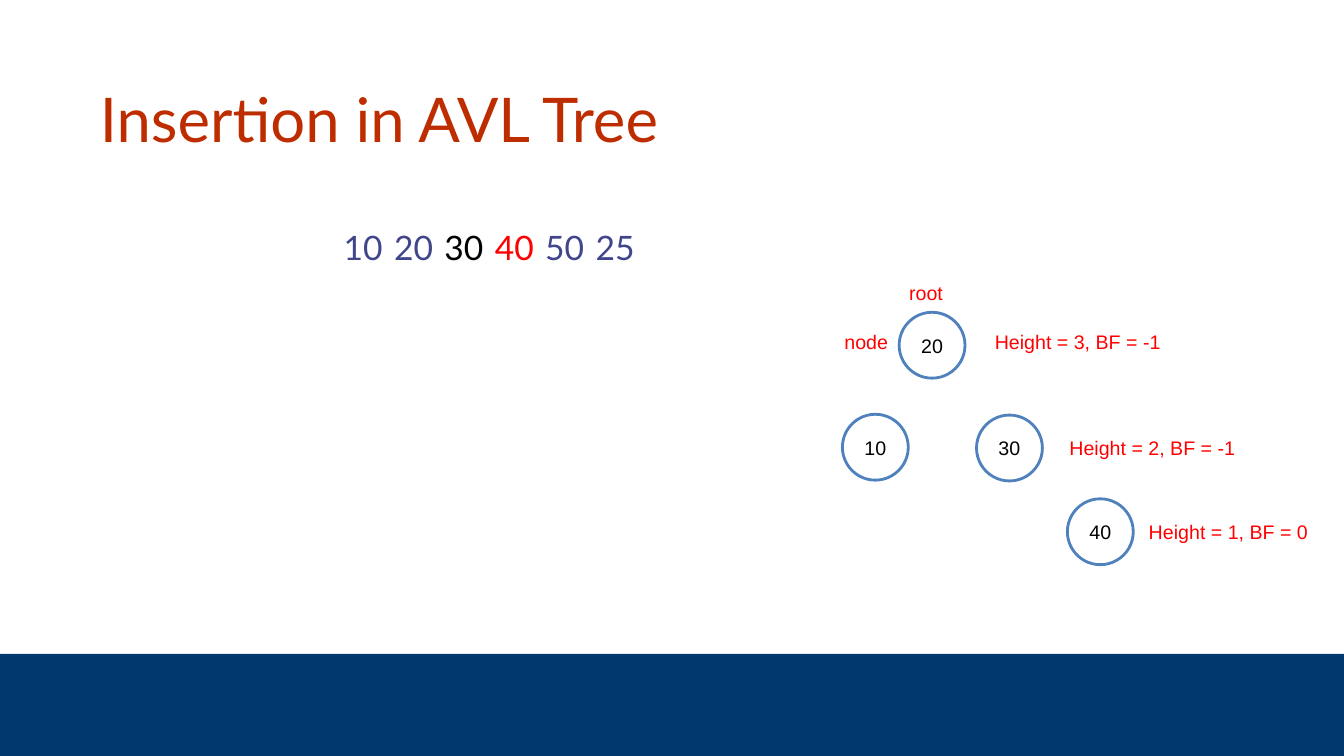
from lxml import etree
from pptx import Presentation
from pptx.dml.color import RGBColor
from pptx.enum.shapes import MSO_SHAPE
from pptx.enum.text import MSO_ANCHOR, MSO_AUTO_SIZE, PP_ALIGN
from pptx.oxml.ns import qn
from pptx.util import Cm, Pt

OVAL, RECTANGLE = MSO_SHAPE.OVAL, MSO_SHAPE.RECTANGLE
BOTTOM, MIDDLE, TOP = MSO_ANCHOR.BOTTOM, MSO_ANCHOR.MIDDLE, MSO_ANCHOR.TOP
LEFT, CENTER = PP_ALIGN.LEFT, PP_ALIGN.CENTER
NO_AUTOSIZE = MSO_AUTO_SIZE.NONE

COLORS = {
    "title": "BE2D00", "pending": "40458C", "black": "000000", "red": "FF0000",
    "white": "FFFFFF", "outline": "4F81BD", "band": "00396E",
}
TITLE = "Insertion in AVL Tree"
KEYS = [
    ("10", "pending"), ("20", "pending"), ("30", "black"),
    ("40", "red"), ("50", "pending"), ("25", "pending"),
]
NODES = [
    ("20", 22.66, 7.87), ("10", 21.23, 10.44),
    ("30", 24.61, 10.46), ("40", 26.9, 12.57),
]
LABELS = [
    ("root", 22.66, 6.96, 1.37), ("node", 21.03, 8.18, 1.63),
    ("Height = 3, BF = -1", 24.82, 8.2, 4.72),
    ("Height = 2, BF = -1", 26.7, 10.85, 4.72),
    ("Height = 1, BF = 0", 28.7, 12.98, 4.55),
]
NODE_SIZE = 1.66
LABEL_HEIGHT = 0.86
KEY_STEP = 2.54
KEY_INDENT = 6.4


def color(name):
    return RGBColor.from_string(COLORS[name])


def place(shape, left, top, width, height):
    shape.left, shape.top = Cm(left), Cm(top)
    shape.width, shape.height = Cm(width), Cm(height)


def format_paragraph(paragraph, font_name, size, color_name, alignment=LEFT):
    paragraph.alignment = alignment
    paragraph.font.name = font_name
    paragraph.font.size = Pt(size)
    paragraph.font.color.rgb = color(color_name)


def add_filled_shape(slide, kind, fill, left, top, width, height):
    shape = slide.shapes.add_shape(kind, Cm(left), Cm(top), Cm(width), Cm(height))
    shape.shadow.inherit = False
    shape.fill.solid()
    shape.fill.fore_color.rgb = color(fill)
    return shape


def write_title(title):
    place(title, 2.26, 0.84, 28.78, 3.18)
    title.text_frame.text = TITLE
    title.text_frame.auto_size = NO_AUTOSIZE
    title.text_frame.vertical_anchor = BOTTOM
    format_paragraph(title.text_frame.paragraphs[0], "Lato", 44, "title")


def write_keys(body):
    place(body, 2.26, 5.28, 30.58, 1.83)
    frame = body.text_frame
    frame.auto_size = NO_AUTOSIZE
    frame.vertical_anchor = TOP
    frame.margin_left = Cm(KEY_INDENT)
    paragraph = frame.paragraphs[0]
    paragraph.line_spacing = 1.3
    paragraph.space_before = Pt(0)
    properties = paragraph._p.get_or_add_pPr()
    properties.set("marL", "0")
    properties.set("indent", "0")
    etree.SubElement(properties, qn("a:buNone"))
    tabs = etree.SubElement(properties, qn("a:tabLst"))
    for index in range(1, len(KEYS)):
        etree.SubElement(tabs, qn("a:tab"), pos=str(Cm(KEY_STEP * index)), algn="l")
    format_paragraph(paragraph, "Lato", 24, "pending")
    for index, (key, color_name) in enumerate(KEYS):
        run = paragraph.add_run()
        run.text = f"\t{key}" if index else key
        run.font.color.rgb = color(color_name)


def add_node(slide, key, left, top):
    node = add_filled_shape(slide, OVAL, "white", left, top, NODE_SIZE, NODE_SIZE)
    node.line.color.rgb = color("outline")
    node.line.width = Pt(2)
    node.text_frame.text = key
    node.text_frame.vertical_anchor = MIDDLE
    format_paragraph(node.text_frame.paragraphs[0], "Arial", 14, "black", CENTER)


def add_label(slide, text, left, top, width):
    label = slide.shapes.add_textbox(Cm(left), Cm(top), Cm(width), Cm(LABEL_HEIGHT))
    label.text_frame.text = text
    label.text_frame.word_wrap = False
    format_paragraph(label.text_frame.paragraphs[0], "Arial", 14, "red")


def main():
    presentation = Presentation()
    presentation.slide_width, presentation.slide_height = Cm(33.87), Cm(19.05)
    slide = presentation.slides.add_slide(presentation.slide_layouts[1])
    band = add_filled_shape(slide, RECTANGLE, "band", 0, 16.48, 33.87, 2.57)
    band.line.fill.background()
    write_title(slide.shapes.title)
    write_keys(slide.placeholders[1])
    for node in NODES:
        add_node(slide, *node)
    for label in LABELS:
        add_label(slide, *label)
    presentation.save("out.pptx")


if __name__ == "__main__":
    main()
